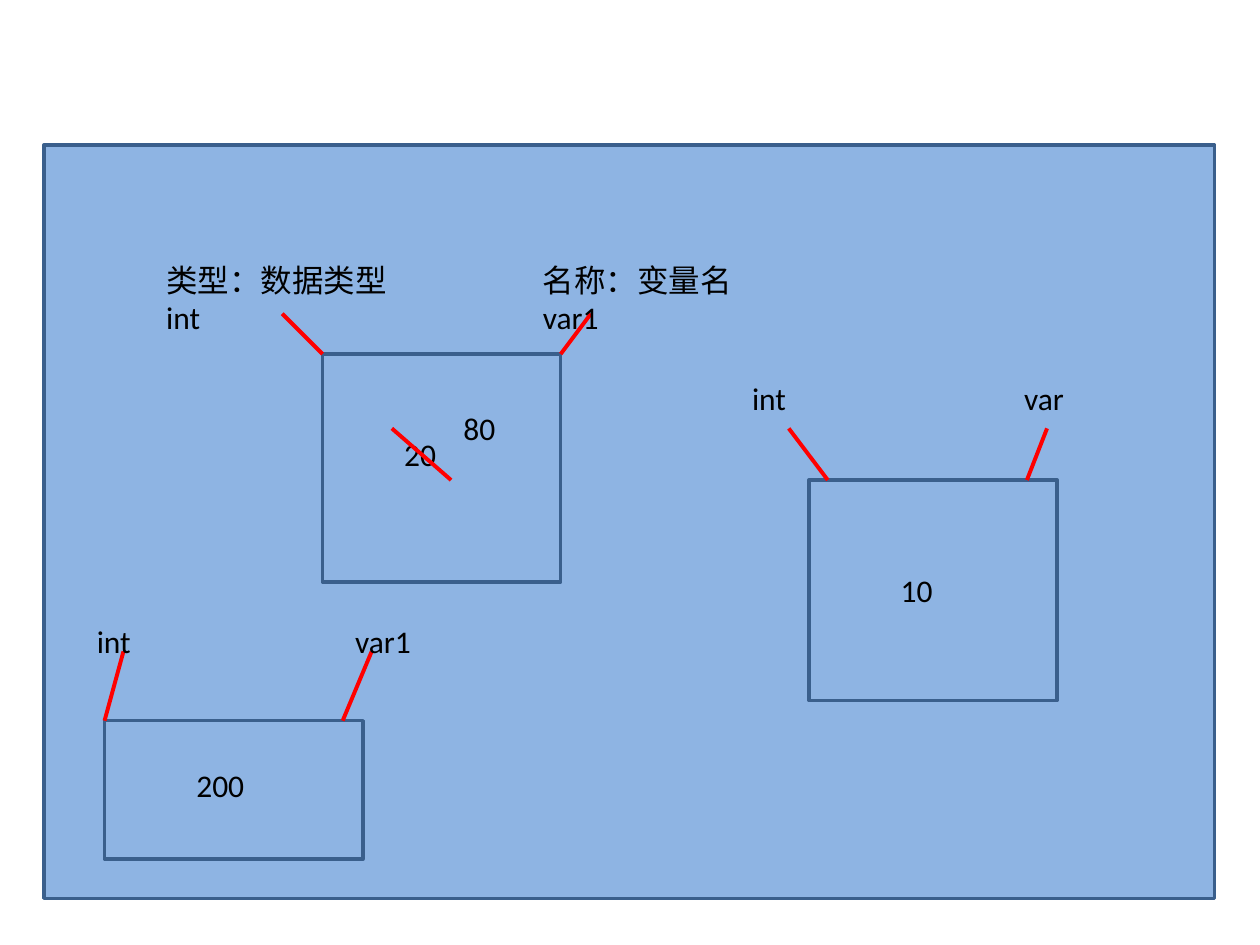
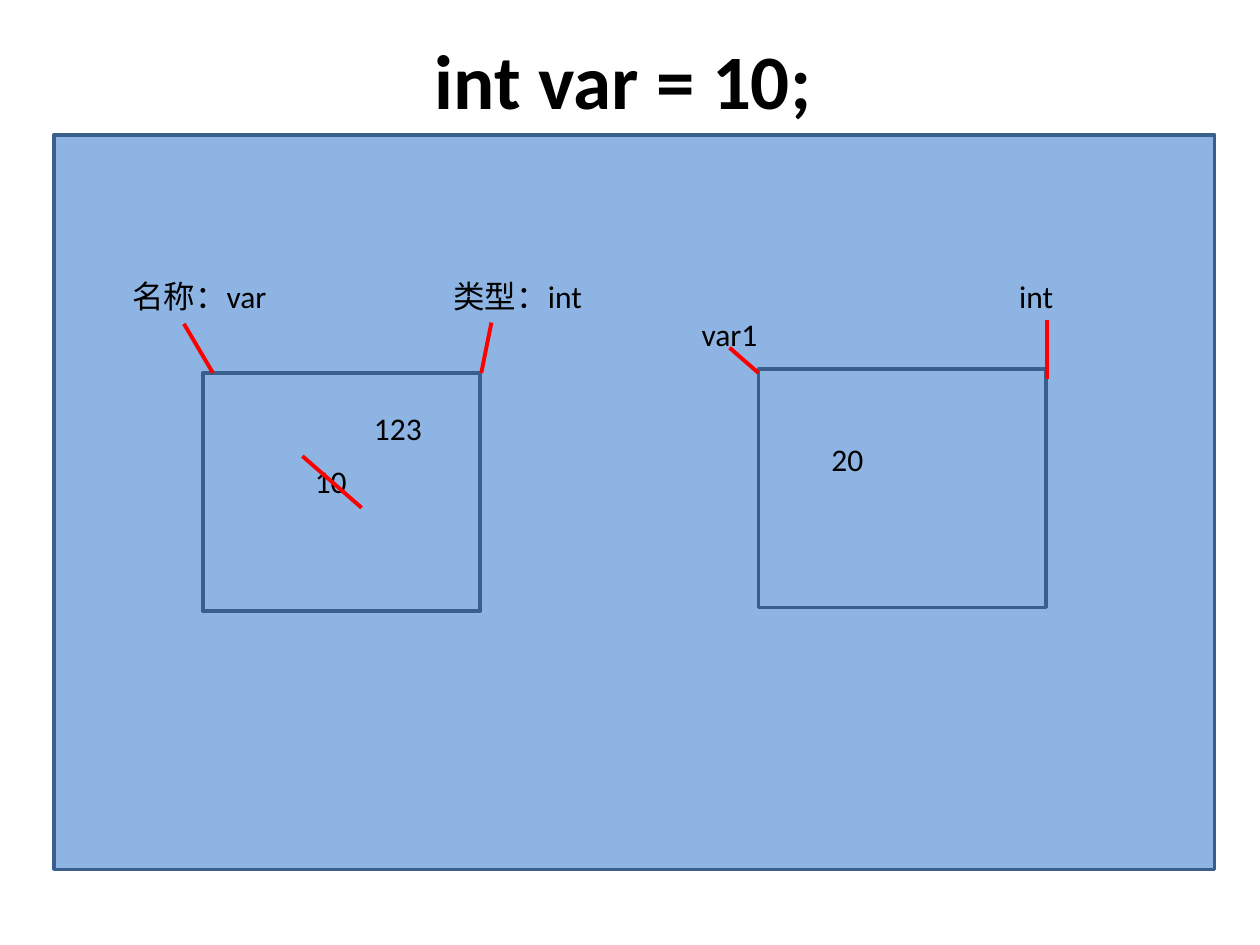
from dataclasses import dataclass

from lxml.etree import SubElement
from pptx import Presentation
from pptx.dml.color import RGBColor
from pptx.enum.shapes import MSO_CONNECTOR, MSO_SHAPE
from pptx.enum.text import MSO_ANCHOR, MSO_AUTO_SIZE, PP_ALIGN
from pptx.oxml.ns import qn
from pptx.util import Inches, Pt


@dataclass(frozen=True)
class Theme:
    fill: RGBColor = RGBColor(0x8E, 0xB4, 0xE3)
    edge: RGBColor = RGBColor(0x3A, 0x5F, 0x8C)
    mark: RGBColor = RGBColor(0xFF, 0x00, 0x00)
    ink: RGBColor = RGBColor(0x00, 0x00, 0x00)
    font: str = "Calibri"
    title: Pt = Pt(44)
    body: Pt = Pt(18)
    border: Pt = Pt(2)
    stroke: Pt = Pt(2.25)


THEME = Theme()
WIDTH, HEIGHT = Inches(10), Inches(7.5)
COLS = 10
UNIT = WIDTH / COLS  # square grid: 10 columns by 7.5 rows
LINE = 0.4  # rows taken by one line of text
STRIKE = (0.47, 0.41)


def grid(*cells):
    return [round(cell * UNIT) for cell in cells]


def write(frame, lines, size, bold=False):
    frame.word_wrap = True
    frame.auto_size = MSO_AUTO_SIZE.NONE
    frame.vertical_anchor = MSO_ANCHOR.TOP
    for i, line in enumerate(lines):
        para = frame.add_paragraph() if i else frame.paragraphs[0]
        para.alignment = PP_ALIGN.LEFT
        run = para.add_run()
        run.text = line
        font = run.font
        font.name, font.size, font.bold = THEME.font, size, bold
        font.color.rgb = THEME.ink


def add_title(slide, text, *area):
    title = slide.shapes.title
    title.left, title.top, title.width, title.height = grid(*area)
    write(title.text_frame, [text], THEME.title, bold=True)


def add_box(slide, *area):
    box = slide.shapes.add_shape(MSO_SHAPE.RECTANGLE, *grid(*area))
    box.shadow.inherit = False
    box.fill.solid()
    box.fill.fore_color.rgb = THEME.fill
    box.line.color.rgb = THEME.edge
    box.line.width = THEME.border


def add_label(slide, text, left, top, width):
    lines = text.split("\n")
    area = grid(left, top, width, LINE * len(lines))
    write(slide.shapes.add_textbox(*area).text_frame, lines, THEME.body)


def add_line(slide, start, end):
    line = slide.shapes.add_connector(
        MSO_CONNECTOR.STRAIGHT, *grid(*start, *end))
    line.line.color.rgb = THEME.mark
    line.line.width = THEME.stroke
    SubElement(line._element.spPr, qn("a:effectLst"))


def add_store(slide, area, pins, value):
    """Draw a memory cell with its value and a pin to each label."""
    add_box(slide, *area)
    for start, end, label in pins:
        add_line(slide, start, end)
        add_label(slide, *label)
    add_label(slide, *value)


def add_change(slide, left, top, new, rise, width):
    """Strike out the old value and put the new one up and to the right."""
    wide, high = STRIKE
    add_line(slide, (left, top), (left + wide, top + high))
    add_label(slide, new, left + wide, top - rise, width)


def draw_memory(slide):
    add_box(slide, 0.35, 1.15, 9.29, 5.98)
    add_store(slide, (2.56, 2.81, 1.89, 1.81), [
        ((2.56, 2.81), (2.24, 2.49), ("类型：数据类型\nint", 1.22, 2.02, 2.6)),
        ((4.45, 2.81), (4.69, 2.49), ("名称：变量名\nvar1", 4.21, 2.02, 2.36)),
    ], ("20", 3.11, 3.4, 1.1))
    add_store(slide, (6.42, 3.81, 1.97, 1.75), [
        ((6.57, 3.81), (6.26, 3.4), ("int", 5.87, 2.96, 1.02)),
        ((8.15, 3.81), (8.31, 3.4), ("var", 8.03, 2.96, 1.3)),
    ], ("10", 7.05, 4.48, 1.65))
    add_change(slide, 3.11, 3.4, "80", 0.2, 0.63)
    add_store(slide, (0.83, 5.72, 2.05, 1.1), [
        ((0.83, 5.72), (0.98, 5.17), ("int", 0.67, 4.89, 1.57)),
        ((2.72, 5.72), (2.95, 5.17), ("var1", 2.72, 4.89, 1.5)),
    ], ("200", 1.46, 6.03, 0.79))


def draw_assign(slide):
    add_title(slide, "int var = 10;", 3.35, 0.21, 5.83, 0.84)
    add_box(slide, 0.43, 1.07, 9.21, 5.83)
    add_store(slide, (1.61, 2.96, 2.2, 1.89), [
        ((1.69, 2.96), (1.46, 2.57), ("名称：var", 0.95, 2.15, 1.73)),
        ((3.82, 2.96), (3.9, 2.56), ("类型：int", 3.5, 2.15, 1.42)),
    ], ("10", 2.4, 3.62, 1.26))
    add_store(slide, (6.02, 2.93, 2.28, 1.89), [
        ((6.02, 2.96), (5.79, 2.76), ("var1", 5.47, 2.45, 1.26)),
        ((8.31, 3.01), (8.31, 2.54), ("int", 7.99, 2.15, 1.02)),
    ], ("20", 6.5, 3.44, 1.18))
    add_change(slide, 2.4, 3.62, "123", 0.42, 0.94)


def main():
    deck = Presentation()
    deck.slide_width, deck.slide_height = WIDTH, HEIGHT
    titled, blank = deck.slide_layouts[5], deck.slide_layouts[6]
    draw_memory(deck.slides.add_slide(blank))
    draw_assign(deck.slides.add_slide(titled))
    deck.save("out.pptx")


if __name__ == "__main__":
    main()
